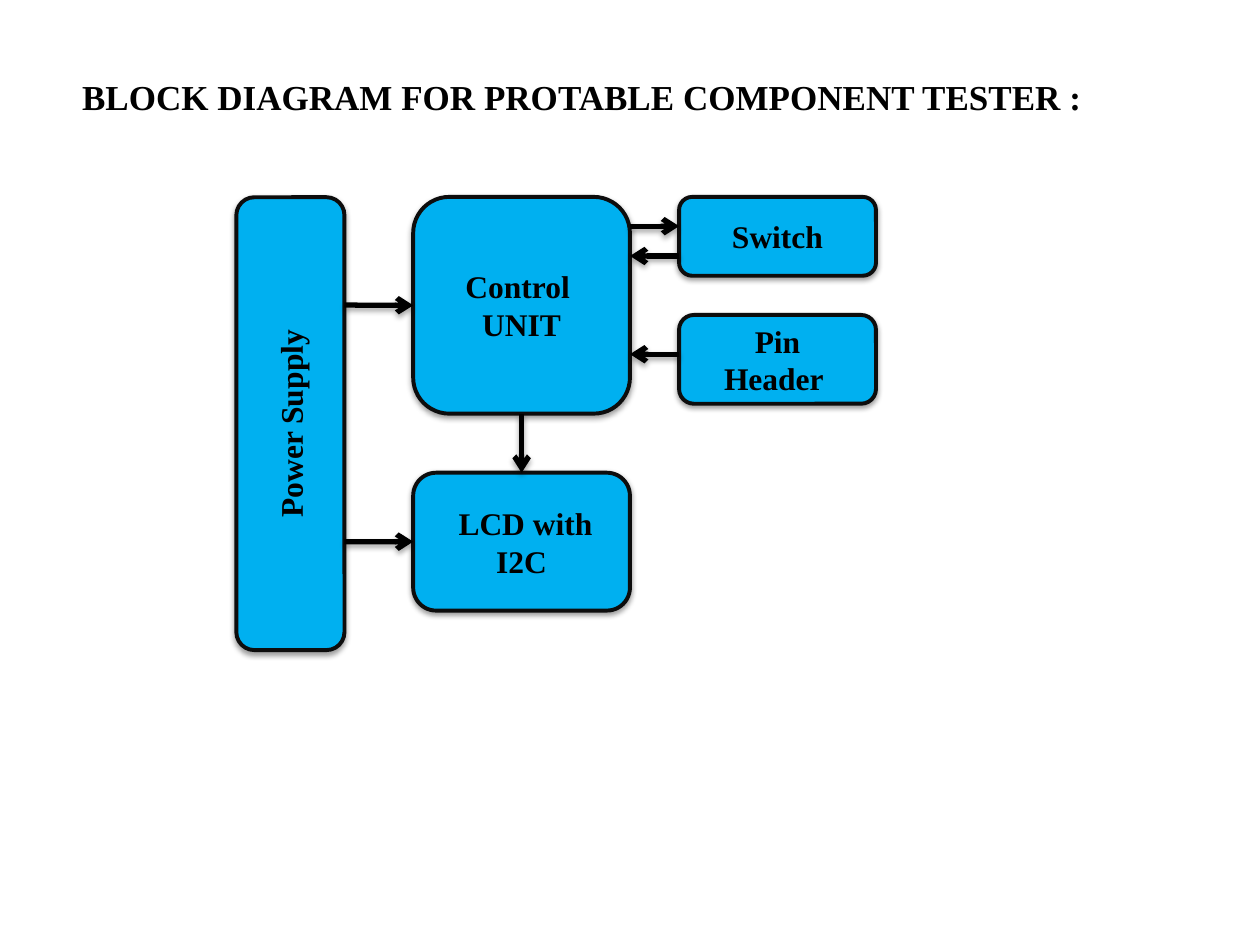
import pptx
import pptx.dml.color
import pptx.enum.shapes
import pptx.enum.text
import pptx.oxml
import pptx.oxml.ns
import pptx.util

Cm, Pt = pptx.util.Cm, pptx.util.Pt
ALIGN = pptx.enum.text.PP_ALIGN
ANCHOR = pptx.enum.text.MSO_ANCHOR
NS = pptx.oxml.ns.nsdecls("a")


def color(value):
    return pptx.dml.color.RGBColor.from_string(value)


def add_shadow(s, distance, alpha):
    """Put a soft black shadow below s; distance in EMU, alpha in percent."""
    s._element.spPr.append(pptx.oxml.parse_xml(
        f'<a:effectLst {NS}><a:outerShdw blurRad="40000" dist="{distance}" '
        'dir="5400000" rotWithShape="0"><a:srgbClr val="000000">'
        f'<a:alpha val="{alpha * 1000}"/></a:srgbClr></a:outerShdw></a:effectLst>'))


prs = pptx.Presentation()
prs.slide_width, prs.slide_height = Cm(25.4), Cm(19.05)
slide = prs.slides.add_slide(prs.slide_layouts[5])

font = {"name": "Times New Roman", "bold": True}

# Title
title = slide.shapes.title
title.left, title.top, title.width, title.height = Cm(1.4), Cm(1.4), Cm(23), Cm(1.11)
tf = title.text_frame
tf.text = "BLOCK DIAGRAM FOR PROTABLE COMPONENT TESTER :"
tf.vertical_anchor = ANCHOR.TOP
p = tf.paragraphs[0]
p.alignment = ALIGN.LEFT
for key, value in {**font, "size": Pt(20)}.items():
    setattr(p.runs[0].font, key, value)
p.runs[0].font.color.rgb = color("000000")

# Blocks: left, top, width, height in cm, rotation, lines of text
blocks = {
    "controller": (8.33, 3.97, 4.37, 4.37, 0, ["Control ", "UNIT"]),
    "lcd": (8.33, 9.53, 4.37, 2.78, 0, [" LCD with I2C"]),
    "power": (1.29, 7.45, 9.13, 2.18, 270, ["Power Supply"]),
    "switch": (13.69, 3.97, 3.97, 1.59, 0, ["Switch"]),
    "header": (13.69, 6.35, 3.97, 1.79, 0, ["Pin", "Header "]),
}
shapes = {}
for name, (left, top, width, height, rotation, lines) in blocks.items():
    s = slide.shapes.add_shape(pptx.enum.shapes.MSO_SHAPE.ROUNDED_RECTANGLE,
                               Cm(left), Cm(top), Cm(width), Cm(height))
    s.rotation = rotation
    s.fill.solid()
    s.fill.fore_color.rgb = color("00B0F0")
    s.line.color.rgb = color("0D0D0D")
    s.line.width = Pt(2.25)
    add_shadow(s, 20000, 38)
    tf = s.text_frame
    tf.word_wrap = True
    tf.vertical_anchor = ANCHOR.MIDDLE
    tf.text = "\n".join(lines)
    for p in tf.paragraphs:
        p.alignment = ALIGN.CENTER
        for key, value in {**font, "size": Pt(18)}.items():
            setattr(p.runs[0].font, key, value)
        p.runs[0].font.color.rgb = color("000000")
    shapes[name] = s

# Arrows: from x, y to x, y in cm, then the joined block sides at each end
arrows = [
    (6.94, 6.15, 8.33, 6.15, None, ("controller", 1)),
    (6.94, 10.92, 8.33, 10.92, None, ("lcd", 1)),
    (10.52, 8.34, 10.52, 9.53, ("controller", 2), ("lcd", 0)),
    (12.7, 4.56, 13.69, 4.56, None, None),
    (13.69, 5.16, 12.7, 5.16, None, None),
    (13.69, 7.14, 12.7, 7.14, None, None),
]
for x1, y1, x2, y2, begin, end in arrows:
    c = slide.shapes.add_connector(pptx.enum.shapes.MSO_CONNECTOR.STRAIGHT,
                                   Cm(x1), Cm(y1), Cm(x2), Cm(y2))
    if begin:
        c.begin_connect(shapes[begin[0]], begin[1])
    if end:
        c.end_connect(shapes[end[0]], end[1])
    c.line.color.rgb = color("000000")
    c.line.width = Pt(3)
    c.line._get_or_add_ln().append(pptx.oxml.parse_xml(f'<a:tailEnd {NS} type="arrow"/>'))
    add_shadow(c, 23000, 35)

prs.save("out.pptx")
